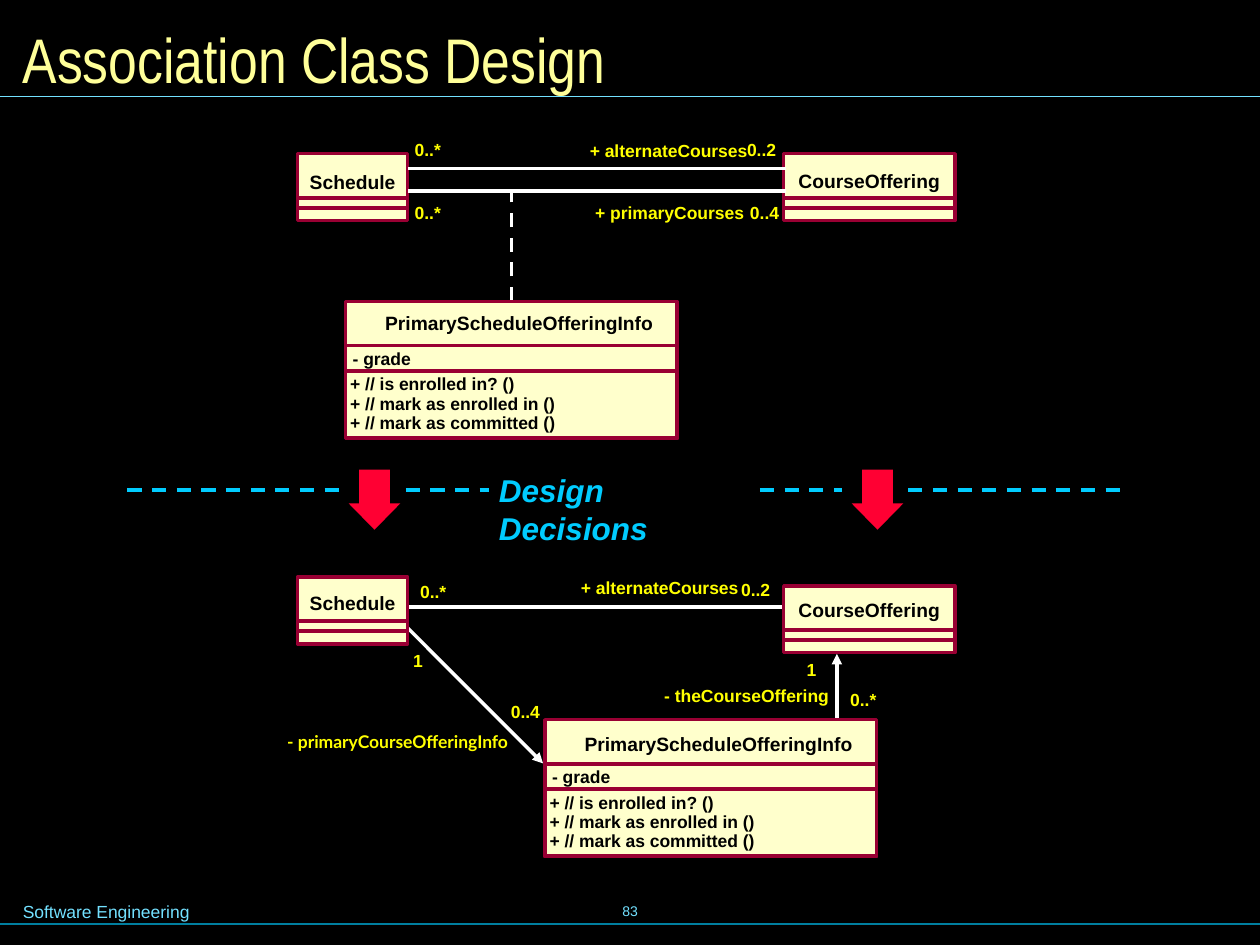
from dataclasses import dataclass

from lxml.etree import SubElement
from pptx import Presentation
from pptx.dml.color import RGBColor
from pptx.enum.dml import MSO_LINE
from pptx.enum.shapes import MSO_CONNECTOR, MSO_SHAPE
from pptx.enum.text import MSO_ANCHOR, MSO_AUTO_SIZE, PP_ALIGN
from pptx.oxml.ns import qn
from pptx.util import Cm, Pt

BLACK, WHITE, YELLOW = "000000", "FFFFFF", "FFFF00"
CREAM, MAROON, RED = "FFFFCC", "990033", "FF0033"
CYAN, SKY, TEAL, PALE_YELLOW = "00CCFF", "73E1FF", "007E9F", "FFFF99"

LINE_HEIGHT = 0.43
ATTRIBUTES_TOP, OPERATIONS_TOP = 0.89, 1.4
OPERATION_PITCH = 0.39
OPERATIONS = (
    "+ // is enrolled in? ()",
    "+ // mark as enrolled in ()",
    "+ // mark as committed ()",
)


@dataclass
class TextStyle:
    size: float
    color: str
    bold: bool = False
    italic: bool = False
    font: str = "Arial"
    align: PP_ALIGN = PP_ALIGN.LEFT
    anchor: MSO_ANCHOR = MSO_ANCHOR.TOP
    wrap: bool = False
    inset: bool = False
    grow: bool = True


@dataclass
class ClassBox:
    name: str
    left: float
    top: float
    width: float
    name_drop: float


@dataclass
class Label:
    text: str
    left: float
    top: float
    width: float
    font: str = "Arial"


@dataclass
class Line:
    x1: float
    y1: float
    x2: float
    y2: float
    color: str = WHITE
    weight: float = 2
    dashed: bool = False
    arrow: bool = False


NAME_STYLE = TextStyle(11, BLACK, bold=True, align=PP_ALIGN.CENTER)
MEMBER_STYLE = TextStyle(10, BLACK, bold=True)

FRAME_LINES = [
    Line(0, 18.63, 25.5, 18.63, TEAL, 0.8),
    Line(0, 1.94, 25.4, 1.94, SKY, 0.8),
]
LINKS_BEHIND = [
    Line(16.87, 14.68, 16.87, 13.18, arrow=True),
    Line(8.18, 12.62, 10.95, 15.39, arrow=True),
    Line(8.23, 12.24, 15.85, 12.24),
    Line(10.31, 6.07, 10.31, 3.84, dashed=True),
]
LINKS_IN_FRONT = [Line(8.23, y, 15.85, y) for y in (3.4, 3.85)]
DECISION_LINES = [
    Line(start, 9.88, end, 9.88, CYAN, dashed=True)
    for start, end in ((2.57, 6.91), (18.31, 22.66), (8.18, 9.86), (15.32, 16.97))
]
SIMPLE_CLASSES = [
    ClassBox("Schedule", 6, 3.1, 2.22, 0.33),
    ClassBox("CourseOffering", 15.8, 3.1, 3.45, 0.31),
    ClassBox("CourseOffering", 15.8, 11.81, 3.45, 0.26),
    ClassBox("Schedule", 6, 11.63, 2.22, 0.28),
]
ASSOCIATION_CLASSES = [
    ClassBox("PrimaryScheduleOfferingInfo", 6.97, 6.08, 6.68, 0.2),
    ClassBox("PrimaryScheduleOfferingInfo", 10.99, 14.51, 6.68, 0.25),
]
LABELS = [
    Label("0..*", 8.36, 2.8, 0.56),
    Label("+ alternateCourses", 11.89, 2.82, 3.22),
    Label("0..2", 15.06, 2.81, 0.66),
    Label("0..*", 8.36, 4.07, 0.56),
    Label("+ primaryCourses", 12, 4.07, 3.04),
    Label("0..4", 15.12, 4.07, 0.66),
    Label("0..*", 8.47, 11.71, 0.56),
    Label("+ alternateCourses", 11.71, 11.63, 3.22),
    Label("0..2", 14.94, 11.68, 0.66),
    Label("1", 8.33, 13.11, 0.22),
    Label("0..4", 10.3, 14.13, 0.66),
    Label("- primaryCourseOfferingInfo", 5.79, 14.73, 5.03, "Lato"),
    Label("1", 16.26, 13.28, 0.22),
    Label("- theCourseOffering", 13.39, 13.81, 3.36),
    Label("0..*", 17.14, 13.9, 0.56),
]


def rgb(value: str) -> RGBColor:
    return RGBColor.from_string(value)


def add_text(slide, text: str, left: float, top: float, width: float,
             height: float, style: TextStyle) -> None:
    frame = slide.shapes.add_textbox(Cm(left), Cm(top), Cm(width), Cm(height)).text_frame
    frame.word_wrap = style.wrap
    frame.auto_size = MSO_AUTO_SIZE.SHAPE_TO_FIT_TEXT if style.grow else MSO_AUTO_SIZE.NONE
    frame.vertical_anchor = style.anchor
    if not style.inset:
        frame.margin_left = frame.margin_right = frame.margin_top = frame.margin_bottom = 0
    frame.text = text
    paragraph = frame.paragraphs[0]
    paragraph.alignment = style.align
    font = paragraph.runs[0].font
    font.name, font.size = style.font, Pt(style.size)
    font.bold, font.italic = style.bold, style.italic
    font.color.rgb = rgb(style.color)


def add_line(slide, line: Line) -> None:
    connector = slide.shapes.add_connector(
        MSO_CONNECTOR.STRAIGHT, Cm(line.x1), Cm(line.y1), Cm(line.x2), Cm(line.y2))
    connector.line.color.rgb = rgb(line.color)
    connector.line.width = Pt(line.weight)
    if line.dashed:
        connector.line.dash_style = MSO_LINE.DASH
    if line.arrow:
        SubElement(connector.line._get_or_add_ln(), qn("a:tailEnd"), type="triangle")
    SubElement(connector._element.spPr, qn("a:effectLst"))


def add_compartment(slide, left: float, top: float, width: float, height: float) -> None:
    box = slide.shapes.add_shape(
        MSO_SHAPE.RECTANGLE, Cm(left), Cm(top), Cm(width), Cm(height))
    box.shadow.inherit = False
    box.fill.solid()
    box.fill.fore_color.rgb = rgb(CREAM)
    box.line.color.rgb = rgb(MAROON)
    box.line.width = Pt(2)


def add_simple_class(slide, box: ClassBox) -> None:
    """Draw a class with empty attribute and operation compartments."""
    add_compartment(slide, box.left, box.top, box.width, 1.35)
    add_text(slide, box.name, box.left + 0.1, box.top + box.name_drop,
             box.width - 0.2, 0.46, NAME_STYLE)
    for drop in (ATTRIBUTES_TOP, 1.09):
        y = box.top + drop
        add_line(slide, Line(box.left, y, box.left + box.width, y, MAROON))


def add_association_class(slide, box: ClassBox) -> None:
    """Draw a class with its attribute and operations listed."""
    for drop in (0, ATTRIBUTES_TOP, OPERATIONS_TOP):
        add_compartment(slide, box.left, box.top + drop, box.width, 2.75 - drop)
    add_text(slide, box.name, box.left + 0.75, box.top + box.name_drop, 5.5, 0.46, NAME_STYLE)
    add_text(slide, "- grade", box.left + 0.14, box.top + 0.93, 1.4, LINE_HEIGHT, MEMBER_STYLE)
    for row, operation in enumerate(OPERATIONS):
        add_text(slide, operation, box.left + 0.09, box.top + 1.45 + row * OPERATION_PITCH,
                 4.3, LINE_HEIGHT, MEMBER_STYLE)


def add_down_arrow(slide, left: float) -> None:
    arrow = slide.shapes.add_shape(
        MSO_SHAPE.DOWN_ARROW, Cm(left), Cm(9.47), Cm(1.04), Cm(1.21))
    arrow.adjustments[0], arrow.adjustments[1] = 0.6, 0.51
    arrow.shadow.inherit = False
    arrow.fill.solid()
    arrow.fill.fore_color.rgb = rgb(RED)
    arrow.line.fill.background()


def main() -> None:
    deck = Presentation()
    deck.slide_width, deck.slide_height = Cm(25.4), Cm(19.05)
    slide = deck.slides.add_slide(deck.slide_layouts[6])
    slide.background.fill.solid()
    slide.background.fill.fore_color.rgb = rgb(BLACK)

    add_text(slide, "83", 8.68, 17.73, 8.05, 1.27, TextStyle(
        8, SKY, align=PP_ALIGN.CENTER, anchor=MSO_ANCHOR.MIDDLE, inset=True, grow=False))
    add_text(slide, "Software Engineering", 0.21, 18.03, 7.49, 0.69,
             TextStyle(10, SKY, wrap=True, inset=True))
    add_text(slide, "Association Class Design", 0.21, 0.22, 25, 1.9, TextStyle(
        36, PALE_YELLOW, font="Arial Narrow", anchor=MSO_ANCHOR.MIDDLE,
        wrap=True, inset=True, grow=False))
    add_text(slide, "Design Decisions", 9.81, 9.38, 5.6, 1.78,
             TextStyle(18, CYAN, bold=True, italic=True, wrap=True, inset=True))

    for line in FRAME_LINES + LINKS_BEHIND + DECISION_LINES:
        add_line(slide, line)
    for box in SIMPLE_CLASSES:
        add_simple_class(slide, box)
    for box in ASSOCIATION_CLASSES:
        add_association_class(slide, box)
    for line in LINKS_IN_FRONT:
        add_line(slide, line)
    for left in (7.03, 17.17):
        add_down_arrow(slide, left)
    for label in LABELS:
        add_text(slide, label.text, label.left, label.top, label.width, LINE_HEIGHT,
                 TextStyle(10, YELLOW, bold=True, font=label.font))

    deck.save("out.pptx")


if __name__ == "__main__":
    main()
